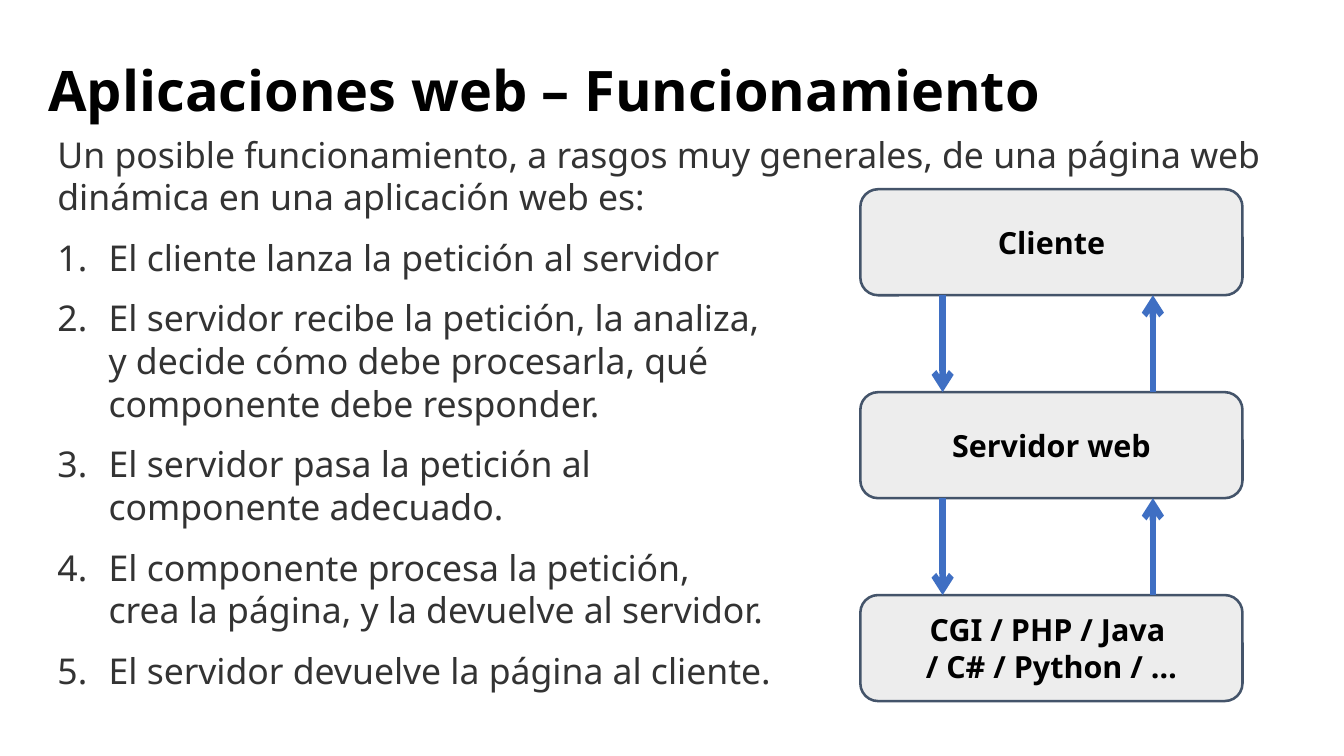
from lxml.etree import SubElement
from pptx import Presentation
from pptx.dml.color import RGBColor
from pptx.enum.shapes import MSO_CONNECTOR, MSO_SHAPE
from pptx.enum.text import MSO_ANCHOR, MSO_AUTO_SIZE, PP_ALIGN
from pptx.oxml.ns import qn
from pptx.util import Inches, Pt

TITLE = "Aplicaciones web – Funcionamiento"
INTRO = ("Un posible funcionamiento, a rasgos muy generales, de una página web "
         "dinámica en una aplicación web es:")
STEPS = [
    "El cliente lanza la petición al servidor",
    "El servidor recibe la petición, la analiza, \vy decide cómo debe procesarla, qué \vcomponente debe responder.",
    "El servidor pasa la petición al \vcomponente adecuado.",
    "El componente procesa la petición, \vcrea la página, y la devuelve al servidor.",
    "El servidor devuelve la página al cliente.",
]
LAYERS = ["Cliente", "Servidor web", "CGI / PHP / Java \v/ C# / Python / …"]

FONT = "Noto Sans"
COLORS = {"title": "000000", "body": "333333", "label": "000000",
          "box": "EDEDED", "border": "44546A", "arrow": "3F6FC3"}
LEFT, TEXT_W = 0.53, 13.71
BOX_X, BOX_Y, BOX_W, BOX_H, PITCH = 9.41, 2.07, 4.18, 1.16, 2.22
DOWN_X, UP_X = 10.31, 12.61


def rgb(name):
    return RGBColor.from_string(COLORS[name])


def write(p, text, size, color, bold=False):
    p.text = text
    for r in p.runs:
        r.font.name, r.font.size, r.font.bold = FONT, Pt(size), bold
        r.font.color.rgb = rgb(color)


def add_text(s, top, height):
    sp = s.shapes.add_textbox(Inches(LEFT), Inches(top), Inches(TEXT_W), Inches(height))
    sp.text_frame.word_wrap = True
    return sp.text_frame


def add_title(s):
    tf = add_text(s, 0.28, 1.48)
    tf.margin_left = tf.margin_right = tf.margin_top = tf.margin_bottom = 0
    tf.vertical_anchor = MSO_ANCHOR.MIDDLE
    p = tf.paragraphs[0]
    p.line_spacing = 0.9
    write(p, TITLE, 44, "title", True)


def add_body(s):
    tf = add_text(s, 1.4, 6.26)
    tf.auto_size = MSO_AUTO_SIZE.SHAPE_TO_FIT_TEXT
    for i, text in enumerate([INTRO] + STEPS):
        p = tf.add_paragraph() if i else tf.paragraphs[0]
        write(p, text, 28, "body")
        p.space_after = Pt(14.1)
        if i:
            pPr = p._p.get_or_add_pPr()
            pPr.set("marL", str(Inches(0.56)))
            pPr.set("indent", str(-Inches(0.56)))
            SubElement(pPr, qn("a:buFont"), typeface="+mj-lt")
            SubElement(pPr, qn("a:buAutoNum"), type="arabicPeriod")


def add_box(s, text, y):
    sp = s.shapes.add_shape(MSO_SHAPE.ROUNDED_RECTANGLE, Inches(BOX_X), Inches(y),
                            Inches(BOX_W), Inches(BOX_H))
    sp.shadow.inherit = False
    sp.fill.solid()
    sp.fill.fore_color.rgb = rgb("box")
    sp.line.color.rgb = rgb("border")
    sp.line.width = Pt(2)
    tf = sp.text_frame
    tf.word_wrap = True
    tf.vertical_anchor = MSO_ANCHOR.MIDDLE
    p = tf.paragraphs[0]
    p.alignment = PP_ALIGN.CENTER
    write(p, text, 24, "label", True)


def add_arrow(s, x, start, end):
    cn = s.shapes.add_connector(MSO_CONNECTOR.STRAIGHT, Inches(x), Inches(start),
                                Inches(x), Inches(end))
    cn.line.color.rgb = rgb("arrow")
    cn.line.width = Pt(5)
    SubElement(cn.line._get_or_add_ln(), qn("a:tailEnd"), type="arrow")
    SubElement(cn._element.spPr, qn("a:effectLst"))


def main():
    """Build the slide on how a dynamic web page works."""
    prs = Presentation()
    prs.slide_width, prs.slide_height = Inches(14.7), Inches(8.27)
    s = prs.slides.add_slide(prs.slide_layouts[6])
    add_title(s)
    add_body(s)
    tops = [BOX_Y + i * PITCH for i in range(len(LAYERS))]
    for text, y in zip(LAYERS, tops):
        add_box(s, text, y)
    for upper, lower in zip(tops, tops[1:]):
        add_arrow(s, DOWN_X, upper + BOX_H, lower)
        add_arrow(s, UP_X, lower, upper + BOX_H)
    prs.save("out.pptx")


if __name__ == "__main__":
    main()
